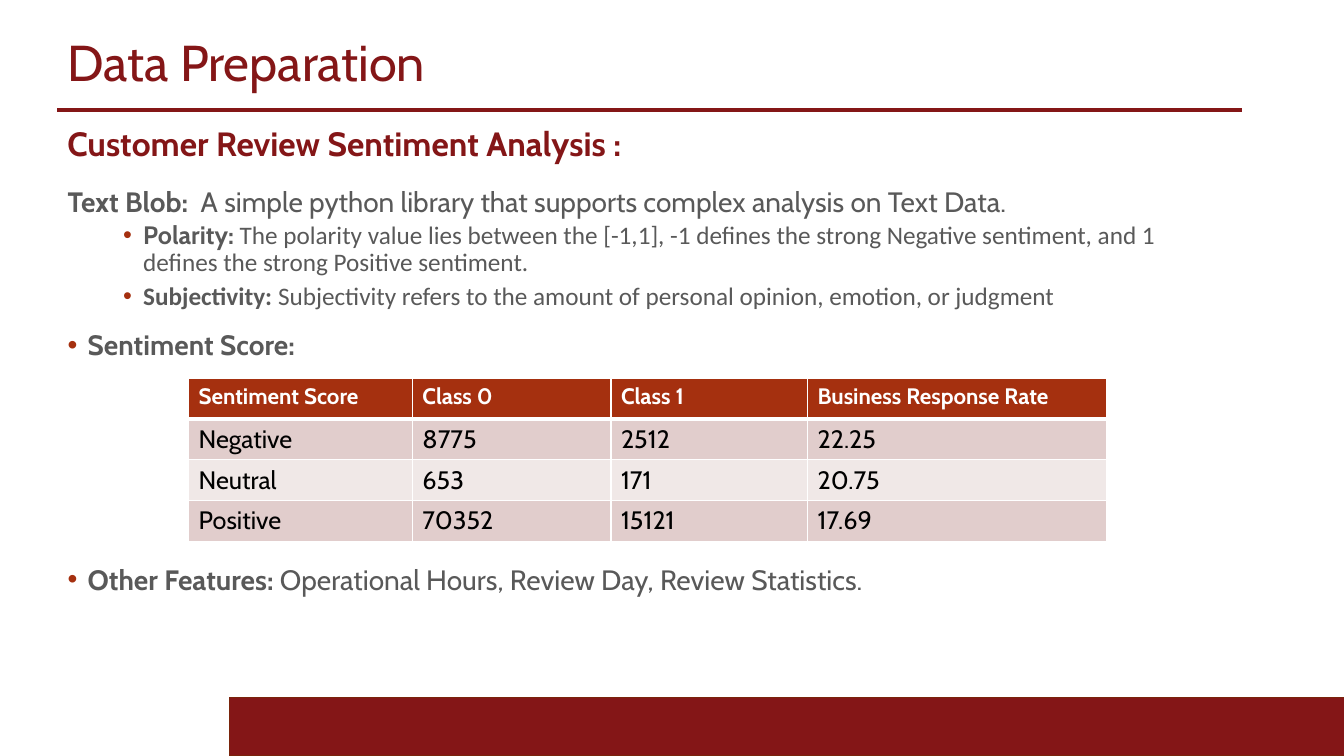
from dataclasses import dataclass

from lxml.etree import SubElement
from pptx import Presentation
from pptx.dml.color import RGBColor
from pptx.enum.shapes import MSO_CONNECTOR, MSO_SHAPE
from pptx.enum.text import MSO_ANCHOR, MSO_AUTO_SIZE, PP_ALIGN
from pptx.oxml import parse_xml
from pptx.oxml.ns import nsdecls, qn
from pptx.util import Inches, Pt

COLORS = {
    "crimson": "841617", "bar_edge": "7A240B", "rust": "A5300F",
    "gray": "595959", "white": "FFFFFF", "black": "000000",
    "band_dark": "E1CDCC", "band_light": "F0E8E7",
}


@dataclass
class Span:
    text: str
    size: float
    color: str = "gray"
    bold: bool = False
    font: str = "Cabin"


@dataclass
class Item:
    spans: list[Span]
    before: float = 12
    after: float = 0
    indent: float = 0
    bullet: bool = True
    level: int = 0


def rgb(name: str) -> RGBColor:
    return RGBColor.from_string(COLORS[name])


def add_span(paragraph, span: Span) -> None:
    run = paragraph.add_run()
    run.text = span.text
    run.font.size = Pt(span.size)
    run.font.name = span.font
    run.font.bold = span.bold
    run.font.color.rgb = rgb(span.color)


def write_item(paragraph, item: Item) -> None:
    paragraph.alignment = PP_ALIGN.LEFT
    paragraph.level = item.level
    paragraph.line_spacing = 0.9
    paragraph.space_before = Pt(item.before)
    paragraph.space_after = Pt(item.after)
    props = paragraph._p.get_or_add_pPr()
    props.set("marL", str(Inches(item.indent)))
    props.set("indent", str(Inches(-0.2 if item.bullet else 0)))
    if item.bullet:
        bullet_color = SubElement(props, qn("a:buClr"))
        SubElement(bullet_color, qn("a:srgbClr"), val=COLORS["rust"])
        SubElement(props, qn("a:buFont"), typeface="Arial")
        SubElement(props, qn("a:buChar"), char="•")
    else:
        SubElement(props, qn("a:buNone"))
    for span in item.spans:
        add_span(paragraph, span)


def write_text(shape, box: tuple, items: list[Item], anchor: MSO_ANCHOR) -> None:
    shape.left, shape.top, shape.width, shape.height = map(Inches, box)
    frame = shape.text_frame
    frame.word_wrap = True
    frame.auto_size = MSO_AUTO_SIZE.NONE
    frame.vertical_anchor = anchor
    for index, item in enumerate(items):
        write_item(frame.add_paragraph() if index else frame.paragraphs[0], item)


def set_borders(cell, bottom: float) -> None:
    props = cell._tc.get_or_add_tcPr()
    widths = {"lnL": 1, "lnR": 1, "lnT": 1, "lnB": bottom}
    for position, (side, width) in enumerate(widths.items()):
        props.insert(position, parse_xml(
            f'<a:{side} {nsdecls("a")} w="{Pt(width)}"><a:solidFill>'
            f'<a:srgbClr val="{COLORS["white"]}"/></a:solidFill></a:{side}>'))


prs = Presentation()
prs.slide_width, prs.slide_height = Inches(13.33), Inches(7.5)
slide = prs.slides.add_slide(prs.slide_layouts[1])
shapes = slide.shapes

# Footer bar and title rule
footer_bar = shapes.add_shape(MSO_SHAPE.RECTANGLE, Inches(2.28), Inches(6.92),
                              Inches(11.06), Inches(0.58))
footer_bar.shadow.inherit = False
footer_bar.fill.solid()
footer_bar.fill.fore_color.rgb = rgb("crimson")
footer_bar.line.color.rgb = rgb("bar_edge")
footer_bar.line.width = Pt(0.85)

title_rule = shapes.add_connector(MSO_CONNECTOR.STRAIGHT, Inches(0.57), Inches(1.09),
                                  Inches(12.32), Inches(1.09))
title_rule.line.color.rgb = rgb("crimson")
title_rule.line.width = Pt(2.5)
SubElement(title_rule._element.spPr, qn("a:effectLst"))

# Title and subheading
write_text(shapes.title, (0.57, 0.29, 11.71, 0.71),
           [Item([Span("Data Preparation", 36, "crimson")], bullet=False)],
           MSO_ANCHOR.MIDDLE)
subheading = shapes.add_textbox(0, 0, 0, 0)
write_text(subheading, (0.57, 1.21, 8, 0.46),
           [Item([Span("Customer Review Sentiment Analysis :", 24, "crimson", True)],
                 bullet=False)],
           MSO_ANCHOR.MIDDLE)

# Explanations; the last item leaves room for the table
detail = dict(before=2.5, after=2.5, indent=0.75, level=1)
explanations = [
    Item([Span("Text Blob: ", 20, bold=True),
          Span(" A simple python library that supports complex analysis on Text Data.", 20)],
         bullet=False),
    Item([Span("Polarity: ", 18, bold=True),
          Span("The polarity value lies between the [-1,1], -1 defines the strong Negative "
               "sentiment, and 1 defines the strong Positive sentiment.", 18, font="Calibri")],
         **detail),
    Item([Span("Subjectivity: ", 18, bold=True, font="Calibri"),
          Span("Subjectivity refers to the amount of personal opinion, emotion, or judgment",
               18, font="Calibri")],
         **detail),
    Item([Span("Sentiment Score:", 20, bold=True)], indent=0.2),
    Item([Span("Other Features: ", 20, bold=True),
          Span("Operational Hours, Review Day, Review Statistics.", 20)],
         before=146, indent=0.2),
]
write_text(slide.placeholders[1], (0.57, 1.82, 11.71, 4.4), explanations, MSO_ANCHOR.TOP)

# Sentiment table
SCORES = [
    ("Sentiment Score", "Class 0", "Class 1", "Business Response Rate"),
    ("Negative", "8775", "2512", "22.25"),
    ("Neutral", "653", "171", "20.75"),
    ("Positive", "70352", "15121", "17.69"),
]
COLUMN_WIDTHS = (2.22, 1.97, 1.95, 2.97)
score_table = shapes.add_table(len(SCORES), len(COLUMN_WIDTHS), Inches(1.87), Inches(3.75),
                               Inches(sum(COLUMN_WIDTHS)), Inches(1.62)).table
for column, width in zip(score_table.columns, COLUMN_WIDTHS):
    column.width = Inches(width)
for row, values in enumerate(SCORES):
    header = row == 0
    fill = "rust" if header else "band_dark" if row % 2 else "band_light"
    for col, value in enumerate(values):
        cell = score_table.cell(row, col)
        cell.fill.solid()
        cell.fill.fore_color.rgb = rgb(fill)
        set_borders(cell, bottom=3 if header else 1)
        add_span(cell.text_frame.paragraphs[0],
                 Span(value, 16, "white", True) if header else Span(value, 18, "black"))

prs.save("out.pptx")
